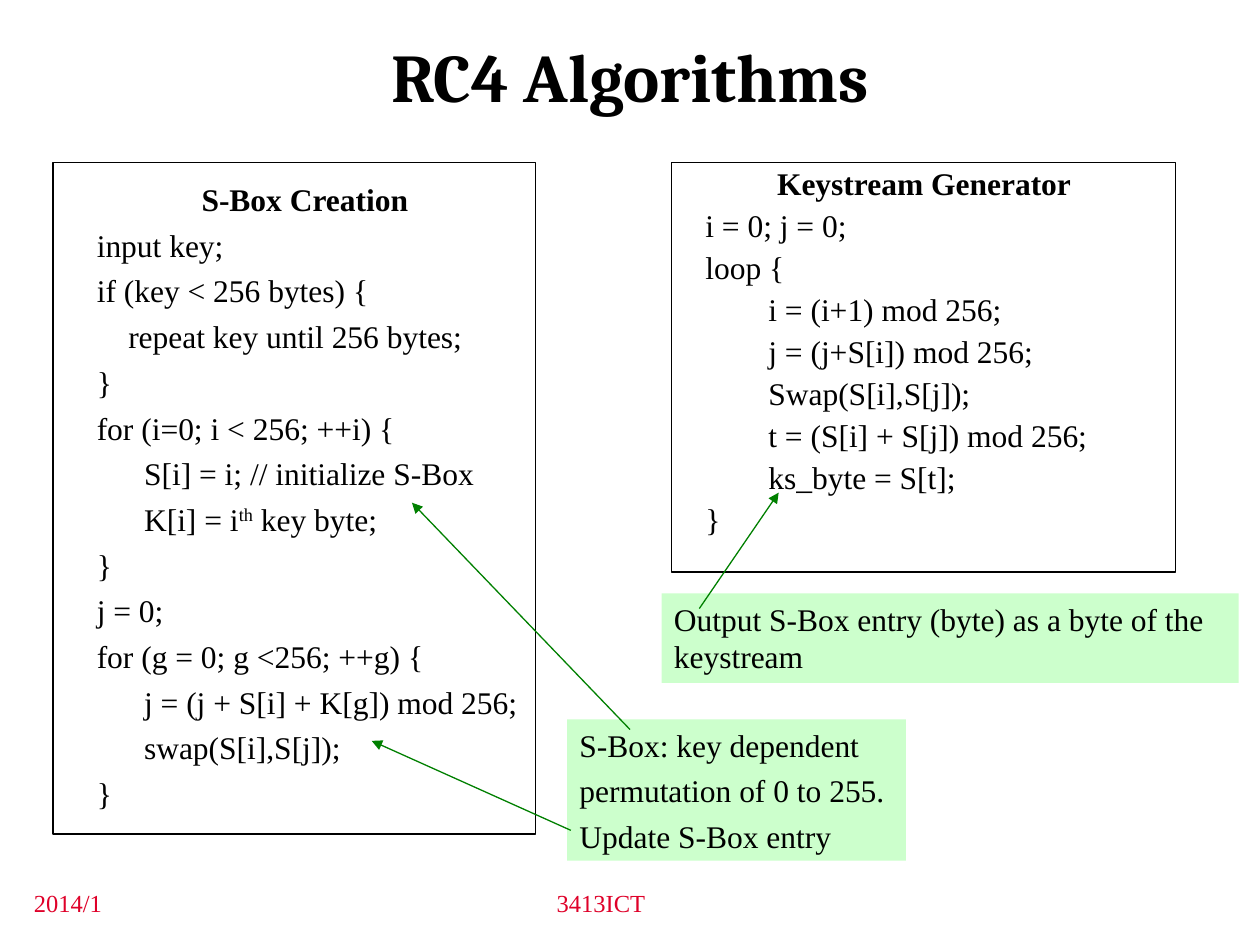
from lxml.etree import SubElement
from pptx import Presentation
from pptx.dml.color import RGBColor
from pptx.enum.shapes import MSO_CONNECTOR as Connector, MSO_SHAPE as Shape
from pptx.enum.text import MSO_ANCHOR as Anchor, MSO_AUTO_SIZE as AutoSize, PP_ALIGN as Align
from pptx.oxml.ns import qn
from pptx.util import Inches, Pt

BLACK, GREEN, PALE_GREEN, RED = "000000", "008000", "CCFFCC", "DF0029"
LINE_GAP = 4.5

SBOX_CODE = [
    (0.5, "input key;"),
    (0.5, "if (key < 256 bytes) {"),
    (0.75, "repeat key until 256 bytes;"),
    (0.5, "}"),
    (0.5, "for (i=0; i < 256; ++i) {"),
    (0.875, "S[i] = i; // initialize S-Box"),
    (0.875, "K[i] = i^th^ key byte;"),
    (0.5, "}"),
    (0.5, "j = 0;"),
    (0.5, "for (g = 0; g <256; ++g) {"),
    (0.875, "j = (j + S[i] + K[g]) mod 256;"),
    (0.875, "swap(S[i],S[j]);"),
    (0.5, "}"),
]
KEYSTREAM_CODE = [
    (0.5, "i = 0; j = 0;"),
    (0.5, "loop {"),
    (1, "i = (i+1) mod 256;"),
    (1, "j = (j+S[i]) mod 256;"),
    (1, "Swap(S[i],S[j]);"),
    (1, "t = (S[i] + S[j]) mod 256;"),
    (1, "ks_byte = S[t];"),
    (0.5, "}"),
]


def color(value):
    return RGBColor.from_string(value)


def inches(values):
    return [Inches(value) for value in values]


def write(para, text, size=18, font="Times New Roman", fill=BLACK, bold=False,
          align=Align.LEFT, indent=0, before=0, spacing=None):
    para.alignment = align
    para.space_before = Pt(before)
    para.line_spacing = spacing
    properties = para._p.get_or_add_pPr()
    properties.set("marL", str(Inches(indent)))
    properties.set("indent", "0")
    for number, part in enumerate(text.split("^")):
        span = para.add_run()
        span.text = part
        span.font.size, span.font.name, span.font.bold = Pt(size), font, bold
        span.font.color.rgb = color(fill)
        if number % 2:
            span._r.get_or_add_rPr().set("baseline", "30000")


def next_para(frame, number):
    return frame.add_paragraph() if number else frame.paragraphs[0]


def add_title(page, box, text):
    title = page.shapes.title
    title.left, title.top, title.width, title.height = inches(box)
    title.text_frame.vertical_anchor = Anchor.BOTTOM
    write(title.text_frame.paragraphs[0], text, size=39, font="Cambria", bold=True,
          align=Align.CENTER)


def add_rectangle(page, box, fill=None, line=None):
    shape = page.shapes.add_shape(Shape.RECTANGLE, *inches(box))
    shape.shadow.inherit = False
    if fill:
        shape.fill.solid()
        shape.fill.fore_color.rgb = color(fill)
    else:
        shape.fill.background()
    if line:
        shape.line.color.rgb = color(line)
        shape.line.width = Pt(0.75)
    else:
        shape.line.fill.background()
    return shape


def add_code(page, box, heading, code, outline, spacing=None):
    frame = page.shapes.add_textbox(*inches(box)).text_frame
    frame.word_wrap = True
    write(frame.paragraphs[0], heading, bold=True, align=Align.CENTER, spacing=spacing)
    for indent, text in code:
        write(frame.add_paragraph(), text, indent=indent, before=LINE_GAP, spacing=spacing)
    add_rectangle(page, outline, line=BLACK)


def add_note(page, box, lines, wrap=True):
    frame = add_rectangle(page, box, fill=PALE_GREEN).text_frame
    frame.word_wrap = wrap
    frame.auto_size = AutoSize.SHAPE_TO_FIT_TEXT
    frame.vertical_anchor = Anchor.TOP
    for number, text in enumerate(lines):
        write(next_para(frame, number), text, before=LINE_GAP)


def add_arrow(page, start, end):
    arrow = page.shapes.add_connector(Connector.STRAIGHT, *inches(start + end))
    arrow.line.color.rgb = color(GREEN)
    arrow.line.width = Pt(0.75)
    SubElement(arrow.line._get_or_add_ln(), qn("a:tailEnd"), type="triangle")
    SubElement(arrow._element.spPr, qn("a:effectLst"))


def add_footer(page, box, text, align):
    frame = page.shapes.add_textbox(*inches(box)).text_frame
    frame.word_wrap = True
    write(frame.paragraphs[0], text, size=14, fill=RED, align=align)


def main():
    deck = Presentation()
    deck.slide_width, deck.slide_height = Inches(10), Inches(7.5)
    page = deck.slides.add_slide(deck.slide_layouts[5])
    add_title(page, (0.75, 0.13, 8.5, 0.84), "RC4 Algorithms")
    add_code(page, (0.17, 1.38, 4.5, 5.25), "S-Box Creation", SBOX_CODE,
             outline=(0.42, 1.29, 3.83, 5.33))
    add_code(page, (5, 1.29, 4.67, 3.5), "Keystream Generator", KEYSTREAM_CODE,
             outline=(5.33, 1.29, 4, 3.25), spacing=0.9)
    add_note(page, (5.25, 4.71, 4.58, 0.71),
             ["Output S-Box entry (byte) as a byte of the keystream"])
    add_note(page, (4.5, 5.71, 2.69, 1.12),
             ["S-Box: key dependent", "permutation of 0 to 255.", "Update S-Box entry"],
             wrap=False)
    for start, end in [((5.55, 4.83), (6.18, 3.91)),
                       ((4.53, 6.59), (2.95, 5.88)),
                       ((5, 5.79), (3.27, 3.99))]:
        add_arrow(page, start, end)
    add_footer(page, (0.17, 7, 2.08, 0.33), "2014/1", Align.LEFT)
    add_footer(page, (2.8, 7, 3.94, 0.33), "3413ICT", Align.CENTER)
    deck.save("out.pptx")


if __name__ == "__main__":
    main()
